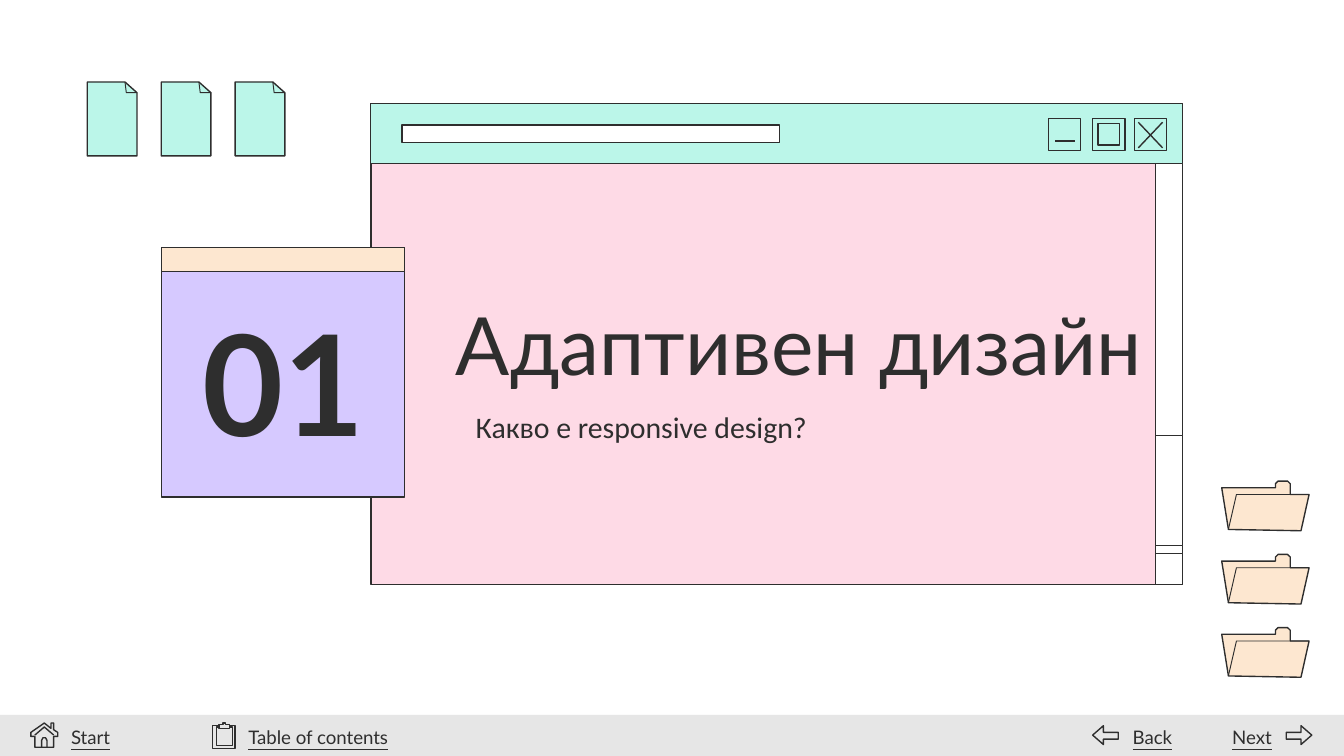
import pptx
import pptx.util
import pptx.dml.color
import pptx.enum.shapes
import pptx.enum.text
import pptx.oxml.ns
import lxml.etree

Inches, Pt = pptx.util.Inches, pptx.util.Pt
RGBColor = pptx.dml.color.RGBColor
ALIGN = pptx.enum.text.PP_ALIGN
ANCHOR = pptx.enum.text.MSO_ANCHOR

INK = RGBColor(0x2E, 0x2E, 0x2E)
WHITE = RGBColor(0xFF, 0xFF, 0xFF)
GREY = RGBColor(0xE6, 0xE6, 0xE6)
PINK = RGBColor(0xFE, 0xDA, 0xE6)
MINT = RGBColor(0xBB, 0xF6, 0xE9)
LILAC = RGBColor(0xD6, 0xC9, 0xFF)
PEACH = RGBColor(0xFD, 0xE7, 0xD0)


class SlideArtist:
    """Draws outlined retro-desktop elements on one slide."""
    font = {"name": "Lato", "size": Pt(10)}
    outline = 0.75

    def __init__(self, s):
        self.s = s

    def paint(self, sp, fill, line):
        sp.shadow.inherit = False
        if fill is None:
            sp.fill.background()
        else:
            sp.fill.solid()
            sp.fill.fore_color.rgb = fill
        if line:
            sp.line.color.rgb = INK
            sp.line.width = Pt(line)
        else:
            sp.line.fill.background()

    def rect(self, x, y, w, h, fill=None, line=outline):
        sp = self.s.shapes.add_shape(pptx.enum.shapes.MSO_SHAPE.RECTANGLE,
                                     Inches(x), Inches(y), Inches(w), Inches(h))
        self.paint(sp, fill, line)

    def outline_path(self, points, x=0, y=0, fill=None, line=outline, close=True):
        pts = [(Inches(x + px), Inches(y + py)) for px, py in points]
        fb = self.s.shapes.build_freeform(*pts[0])
        fb.add_line_segments(pts[1:], close=close)
        self.paint(fb.convert_to_shape(), fill, line)

    def stroke(self, x1, y1, x2, y2, width=outline):
        c = self.s.shapes.add_connector(pptx.enum.shapes.MSO_CONNECTOR.STRAIGHT,
                                        Inches(x1), Inches(y1), Inches(x2), Inches(y2))
        c.line.color.rgb = INK
        c.line.width = Pt(width)
        sp_pr = c._element.find(pptx.oxml.ns.qn("p:spPr"))
        lxml.etree.SubElement(sp_pr, pptx.oxml.ns.qn("a:effectLst"))

    def text(self, x, y, w, h, words, align=ALIGN.LEFT, anchor=ANCHOR.TOP,
             indent=None, bottom=0.1, **font):
        tf = self.s.shapes.add_textbox(Inches(x), Inches(y), Inches(w), Inches(h)).text_frame
        frame = {"word_wrap": True, "vertical_anchor": anchor, "margin_bottom": Inches(bottom)}
        frame.update({f"margin_{side}": Inches(0.1) for side in ("left", "right", "top")})
        for key, value in frame.items():
            setattr(tf, key, value)
        p = tf.paragraphs[0]
        p.alignment = align
        if indent:
            p_pr = p._p.get_or_add_pPr()
            for key, value in zip(("marL", "indent"), indent):
                p_pr.set(key, str(Inches(value)))
        r = p.add_run()
        r.text = words
        for key, value in {**self.font, **font}.items():
            setattr(r.font, key, value)
        r.font.color.rgb = INK

    def document(self, x, y):
        self.outline_path([(0, 0), (0, 0.55), (0.37, 0.55), (0.37, 0.08), (0.28, 0)],
                          x, y, MINT)
        self.outline_path([(0.28, 0), (0.29, 0.08), (0.37, 0.08)], x, y,
                          line=0.5, close=False)

    def folder(self, x, y):
        self.outline_path([(0, 0.05), (0.05, 0.36), (0.59, 0.37), (0.65, 0.1), (0.51, 0.1),
                           (0.51, 0.02), (0.49, 0), (0.42, 0), (0.4, 0.02), (0.4, 0.05)],
                          x, y, PEACH)
        self.outline_path([(0.05, 0.36), (0.11, 0.1), (0.65, 0.1)], x, y,
                          line=0.5, close=False)

    def arrow(self, x, y, direction):
        points = [(0, 0.08), (0.08, 0.01), (0.08, 0.06), (0.19, 0.06),
                  (0.19, 0.11), (0.08, 0.11), (0.08, 0.15)]
        self.outline_path([(direction * px, py) for px, py in points], x, y)


def main():
    prs = pptx.Presentation()
    prs.slide_width = Inches(10)
    prs.slide_height = prs.slide_width * 9 // 16
    art = SlideArtist(prs.slides.add_slide(prs.slide_layouts[6]))

    # Navigation bar
    art.rect(0, 5.32, 10, 0.31, GREY, line=None)

    # Browser window with scroll bar and address field
    art.rect(2.76, 0.77, 6.04, 3.58, PINK)
    art.rect(8.6, 0.77, 0.2, 3.58, WHITE)
    art.rect(2.76, 0.77, 6.04, 0.45, MINT, line=0.56)
    for y in (3.3, 3.24):
        art.rect(8.6, y, 0.2, 0.82, WHITE)
    art.rect(2.99, 0.93, 2.81, 0.13, WHITE)

    # Window buttons: minimise, maximise, close
    for x in (7.8, 8.13, 8.44):
        art.rect(x, 0.88, 0.24, 0.24)
    art.stroke(7.85, 1.05, 8, 1.05)
    art.rect(8.17, 0.92, 0.16, 0.16)
    art.stroke(8.47, 0.91, 8.65, 1.1)
    art.stroke(8.65, 0.91, 8.47, 1.1)

    # Section number card
    art.rect(1.2, 1.84, 1.81, 1.86, LILAC)
    art.rect(1.2, 1.84, 1.81, 0.18, PEACH)
    art.text(1.34, 2.11, 1.54, 1.52, "01", ALIGN.CENTER, size=Pt(75), bold=True)

    # Title and subtitle
    art.text(3.29, 2.09, 5.34, 0.92, "Адаптивен дизайн", anchor=ANCHOR.BOTTOM, size=Pt(43))
    art.text(3.29, 2.94, 3.92, 0.51, "Какво е responsive design?",
             indent=(0.5, -0.35), name="Calibri", size=Pt(16))

    # Desktop documents and folders
    for i in range(3):
        art.document(0.65 + 0.55 * i, 0.61)
        art.folder(9.09, 3.58 + 0.545 * i)

    # Home icon: walls, eaves, door
    home = (0.23, 5.37)
    art.outline_path([(0.1, 0.01), (0.15, 0.05), (0.15, 0.01), (0.17, 0.01), (0.17, 0.06),
                      (0.2, 0.08), (0.2, 0.11), (0.17, 0.11), (0.17, 0.19), (0.03, 0.19),
                      (0.03, 0.11), (0, 0.11), (0, 0.08)], *home)
    art.outline_path([(0.03, 0.1), (0.1, 0.04), (0.17, 0.1)], *home, close=False)
    art.outline_path([(0.08, 0.19), (0.08, 0.14), (0.09, 0.12), (0.11, 0.12), (0.12, 0.14),
                      (0.12, 0.19)], *home, close=False)

    # Clipboard icon: board, sheet, clip
    art.rect(1.58, 5.4, 0.17, 0.17)
    art.rect(1.61, 5.41, 0.12, 0.14)
    art.outline_path([(0, 0.04), (0, 0.01), (0.03, 0.01), (0.03, 0), (0.05, 0),
                      (0.05, 0.01), (0.08, 0.01), (0.08, 0.04)], 1.63, 5.38, GREY)

    # Navigation arrows and labels
    art.arrow(8.13, 5.39, 1)
    art.arrow(9.76, 5.39, -1)
    for x, w, words, align in ((0.43, 0.78, "Start", ALIGN.LEFT),
                               (1.75, 1.54, "Table of contents", ALIGN.LEFT),
                               (8.33, 0.54, "Back", ALIGN.LEFT),
                               (9.02, 0.54, "Next", ALIGN.RIGHT)):
        art.text(x, 5.3, w, 0.35, words, align, bottom=0.05, underline=True)

    prs.save("out.pptx")


if __name__ == "__main__":
    main()
